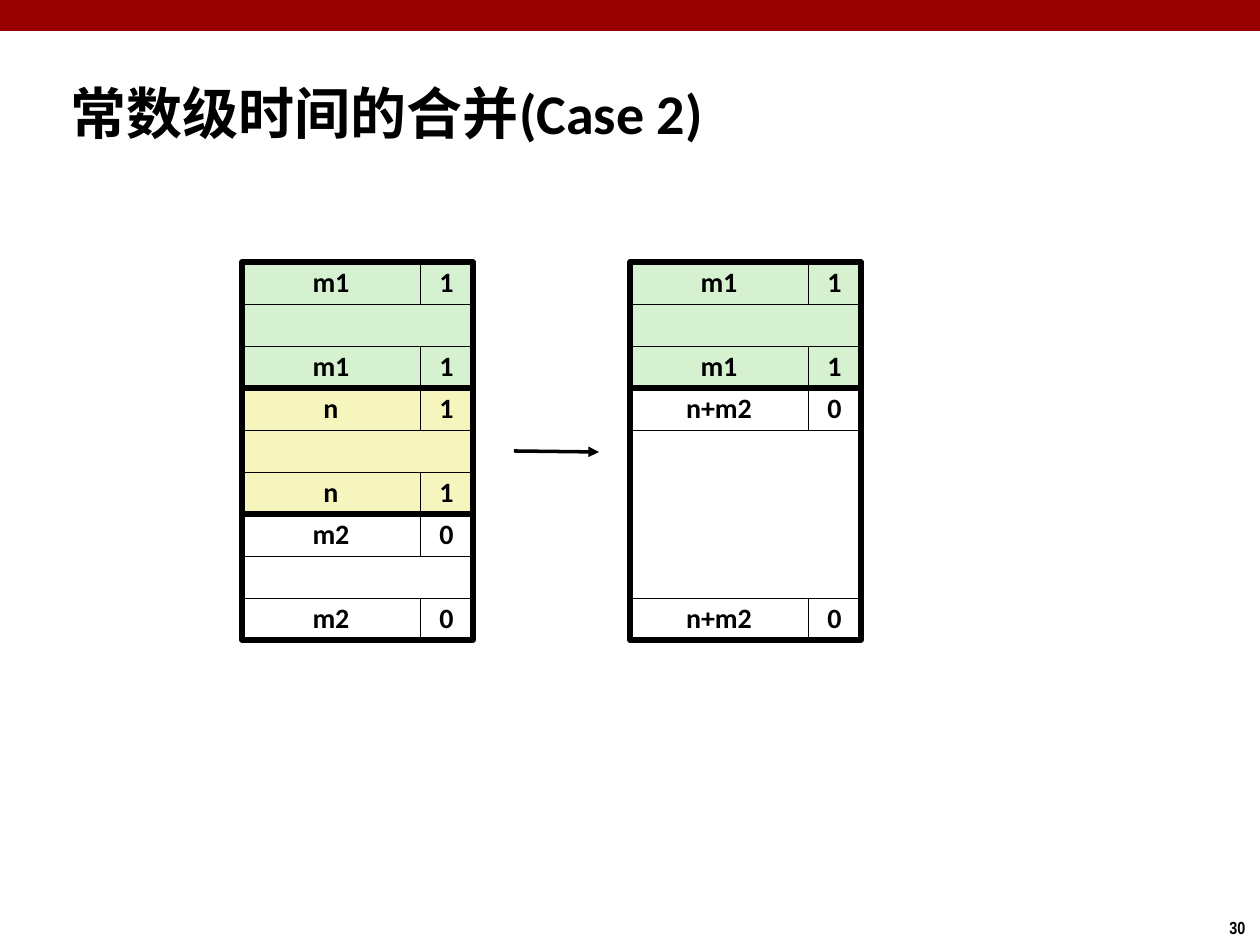
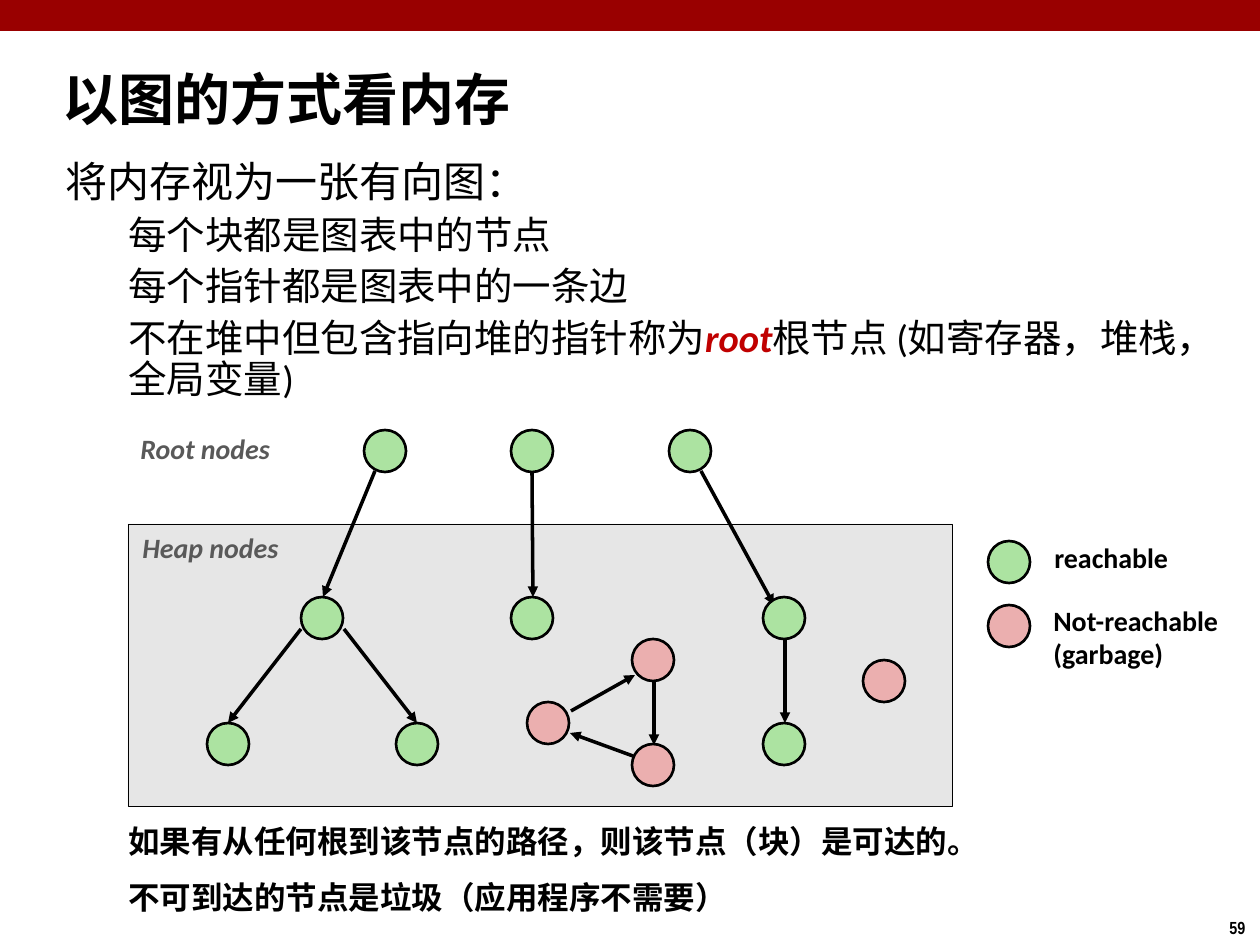
from dataclasses import dataclass

from lxml import etree
from pptx import Presentation
from pptx import util as u
from pptx.dml.color import RGBColor
from pptx.enum import shapes, text
from pptx.oxml.ns import qn

SCALE = u.Inches(1) / 126  # EMU in one px


def px(length):
    return u.Emu(round(length * SCALE))


@dataclass(frozen=True)
class Theme:
    black: str = "000000"
    white: str = "FFFFFF"
    band: str = "990000"
    accent: str = "C00000"
    caption: str = "595959"
    heap: str = "E6E6E6"
    used: str = "D5F1CF"
    freed: str = "F6F5BD"
    reachable: str = "ACE3A1"
    garbage: str = "EBAFAF"
    font: str = "Calibri"
    number_font: str = "Arial Narrow"
    title_size: int = 32
    lead_size: int = 24
    list_size: int = 22
    closing_size: int = 18
    label_size: int = 16
    number_size: int = 10
    hairline: float = 0.25
    frame_line: float = 0.5
    node_line: float = 1.5
    arrow_line: float = 2
    block_line: float = 3


class Board:
    """Holds the theme and the current slide and draws elements on it."""

    def __init__(self, deck, theme):
        self.deck, self.theme, self.page = deck, theme, None

    def start(self, layout, number, title, place, spacing=1.0):
        theme = self.theme
        self.page = self.deck.slides.add_slide(self.deck.slide_layouts[layout])
        self.shape(0, 0, 1260, 31, theme.band)
        self.label(1217, 911, 43, 34, [number], name=theme.number_font, size=theme.number_size)
        box = self.page.shapes.title
        self.place(box, *place)
        box.text_frame.vertical_anchor = text.MSO_ANCHOR.MIDDLE
        self.lines(box.text_frame, [title], spacing=spacing, size=theme.title_size)

    def place(self, box, left, top, width, height):
        edges = {"left": left, "top": top, "width": width, "height": height}
        for name, value in edges.items():
            setattr(box, name, px(value))

    def span(self, para, words, **style):
        theme = self.theme
        style = {"name": theme.font, "size": theme.label_size, "bold": True,
                 "italic": False, "color": theme.black} | style
        span = para.add_run()
        span.text = words
        span.font.color.rgb = RGBColor.from_string(style.pop("color"))
        style["size"] = u.Pt(style["size"])
        for name, value in style.items():
            setattr(span.font, name, value)

    def para(self, frame, first, align=text.PP_ALIGN.LEFT, spacing=1.0, before=0, indent=0):
        para = frame.paragraphs[0] if first else frame.add_paragraph()
        layout = {"alignment": align, "line_spacing": spacing,
                  "space_before": u.Pt(0 if first else before)}
        for name, value in layout.items():
            setattr(para, name, value)
        properties = para._p.get_or_add_pPr()
        properties.set("marL", str(px(indent)))
        properties.set("indent", "0")
        etree.SubElement(properties, qn("a:buNone"))
        return para

    def lines(self, frame, lines, align=text.PP_ALIGN.LEFT, spacing=1.0, before=0, **style):
        frame.auto_size = text.MSO_AUTO_SIZE.NONE
        for index, words in enumerate(lines):
            self.span(self.para(frame, index == 0, align, spacing, before), words, **style)

    def label(self, left, top, width, height, lines, wrap=False, **style):
        box = self.page.shapes.add_textbox(*map(px, (left, top, width, height)))
        box.text_frame.word_wrap = wrap
        self.lines(box.text_frame, lines, **style)

    def shape(self, left, top, width, height, fill=None, line=None, words=None,
              kind=shapes.MSO_SHAPE.RECTANGLE):
        box = self.page.shapes.add_shape(kind, *map(px, (left, top, width, height)))
        box.shadow.inherit = False
        if fill:
            box.fill.solid()
            box.fill.fore_color.rgb = RGBColor.from_string(fill)
        else:
            box.fill.background()
        if line:
            self.stroke(box, line)
        else:
            box.line.fill.background()
        if words:
            box.text_frame.word_wrap = False
            box.text_frame.vertical_anchor = text.MSO_ANCHOR.MIDDLE
            self.lines(box.text_frame, [words], text.PP_ALIGN.CENTER, spacing=0.98)

    def stroke(self, item, weight):
        item.line.color.rgb = RGBColor.from_string(self.theme.black)
        item.line.width = u.Pt(weight)

    def arrow(self, *ends):
        line = self.page.shapes.add_connector(shapes.MSO_CONNECTOR.STRAIGHT, *map(px, ends))
        self.stroke(line, self.theme.arrow_line)
        etree.SubElement(line.line._get_or_add_ln(), qn("a:tailEnd"), type="triangle")
        etree.SubElement(line._element.spPr, qn("a:effectLst"))

    def node(self, x, y, fill, size=42):
        self.shape(x - size // 2, y - size // 2, size, size, fill, self.theme.node_line,
                   kind=shapes.MSO_SHAPE.OVAL)

    def block(self, left, first_row, rows, name, flag, fill):
        """A memory block: header, payload and footer inside a heavy outline."""
        theme = self.theme
        row, name_width, flag_width = 42, 178, 53
        top, width = 262 + first_row * row, name_width + flag_width
        self.shape(left, top + row, width, (rows - 2) * row, fill, theme.hairline)
        for tag_top in (top, top + (rows - 1) * row):
            self.shape(left, tag_top, name_width, row, fill, theme.hairline, name)
            self.shape(left + name_width, tag_top, flag_width, row, fill, theme.hairline, flag)
        self.shape(left, top, width, rows * row, line=theme.block_line)


def coalescing_page(board):
    theme = board.theme
    board.start(5, "30", "常数级时间的合并(Case 2)", (58, 73, 1144, 79))
    # Heap before and after the merge
    before, after = 242, 630
    for block in (
        (before, 0, 3, "m1", "1", theme.used),
        (before, 3, 3, "n", "1", theme.freed),
        (before, 6, 3, "m2", "0", theme.white),
        (after, 0, 3, "m1", "1", theme.used),
        (after, 3, 6, "n+m2", "0", theme.white),
    ):
        board.block(*block)
    board.arrow(514, 451, 599, 452)


def graph_page(board):
    theme = board.theme
    board.start(1, "59", "以图的方式看内存", (50, 63, 873, 79), spacing=0.87)

    # Definition list
    body = board.page.placeholders[1]
    board.place(body, 53, 157, 1167, 213)
    frame = body.text_frame
    board.lines(frame, ["将内存视为一张有向图："], spacing=0.85, size=theme.lead_size, bold=False)
    plain = {"size": theme.list_size, "bold": False}
    root = {"size": theme.list_size, "italic": True, "color": theme.accent}
    for spans in (
        [("每个块都是图表中的节点", plain)],
        [("每个指针都是图表中的一条边", plain)],
        [("不在堆中但包含指向堆的指针称为", plain), ("root", root),
         ("根节点 (如寄存器，堆栈，全局变量)", plain)],
    ):
        para = board.para(frame, False, spacing=0.9, before=5.6, indent=63)
        para.level = 1
        for words, style in spans:
            board.span(para, words, **style)

    # Heap area and captions
    board.shape(128, 524, 825, 283, theme.heap, theme.frame_line)
    caption = {"italic": True, "color": theme.caption}
    board.label(128, 425, 159, 47, ["Root nodes"], **caption)
    board.label(130, 524, 164, 47, ["Heap nodes"], **caption)

    # Pointers
    for ends in (
        (375, 471, 323, 597), (532, 471, 533, 597), (701, 471, 774, 605),
        (301, 629, 228, 723), (344, 629, 417, 723), (785, 640, 785, 723),
        (654, 682, 654, 745), (633, 756, 570, 733), (571, 711, 635, 675),
    ):
        board.arrow(*ends)

    # Nodes, with the legend's node last in each list
    nodes = {
        theme.reachable: [(385, 451), (532, 451), (690, 451), (322, 618), (532, 618), (784, 618),
                          (228, 744), (417, 744), (784, 744), (1009, 562)],
        theme.garbage: [(653, 660), (653, 765), (548, 723), (884, 681), (1009, 626)],
    }
    for fill, centres in nodes.items():
        for x, y in centres:
            board.node(x, y, fill)
    board.label(1042, 534, 140, 47, ["reachable"])
    board.label(1041, 597, 193, 81, ["Not-reachable", "(garbage)"])

    # Closing remarks
    board.label(116, 819, 1021, 116,
                ["如果有从任何根到该节点的路径，则该节点（块）是可达的。",
                 "不可到达的节点是垃圾（应用程序不需要）"],
                wrap=True, spacing=0.95, before=11.2, size=theme.closing_size)


def main():
    deck = Presentation()
    deck.slide_width, deck.slide_height = px(1260), px(945)
    board = Board(deck, Theme())
    coalescing_page(board)
    graph_page(board)
    deck.save("out.pptx")


if __name__ == "__main__":
    main()
